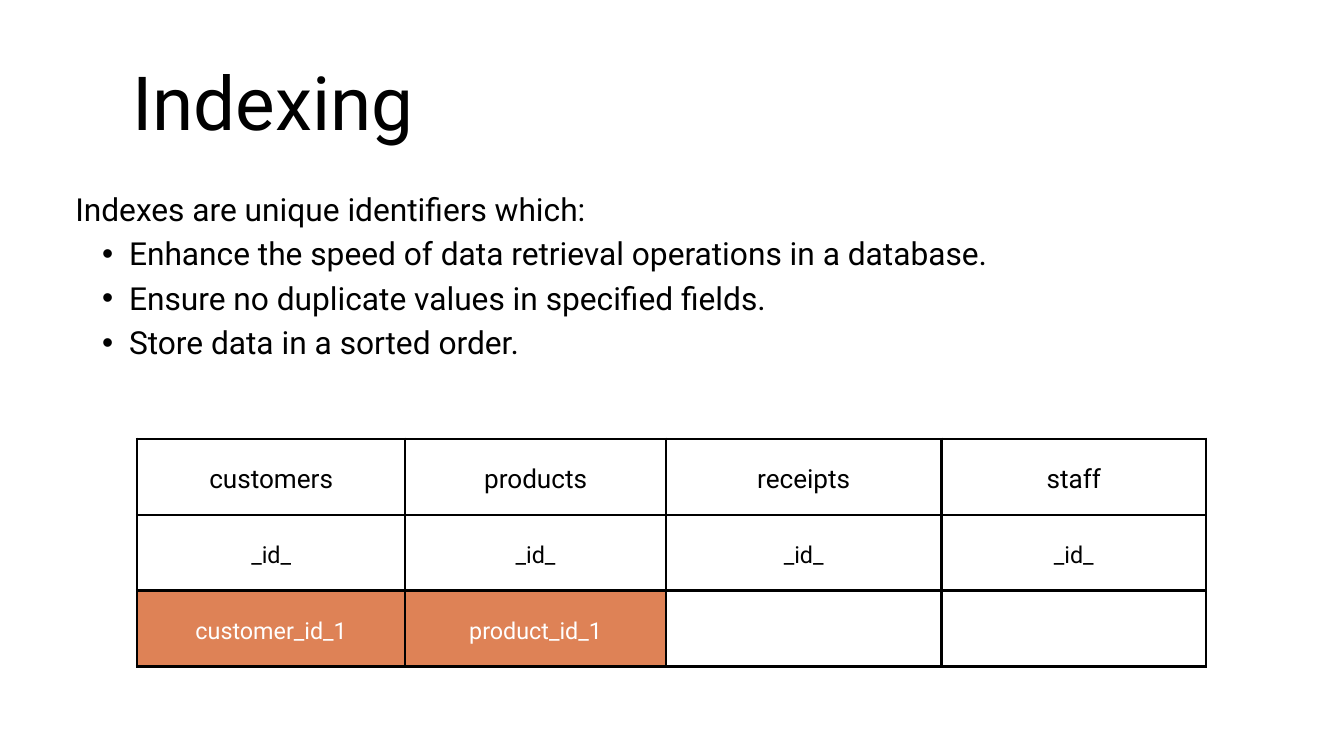
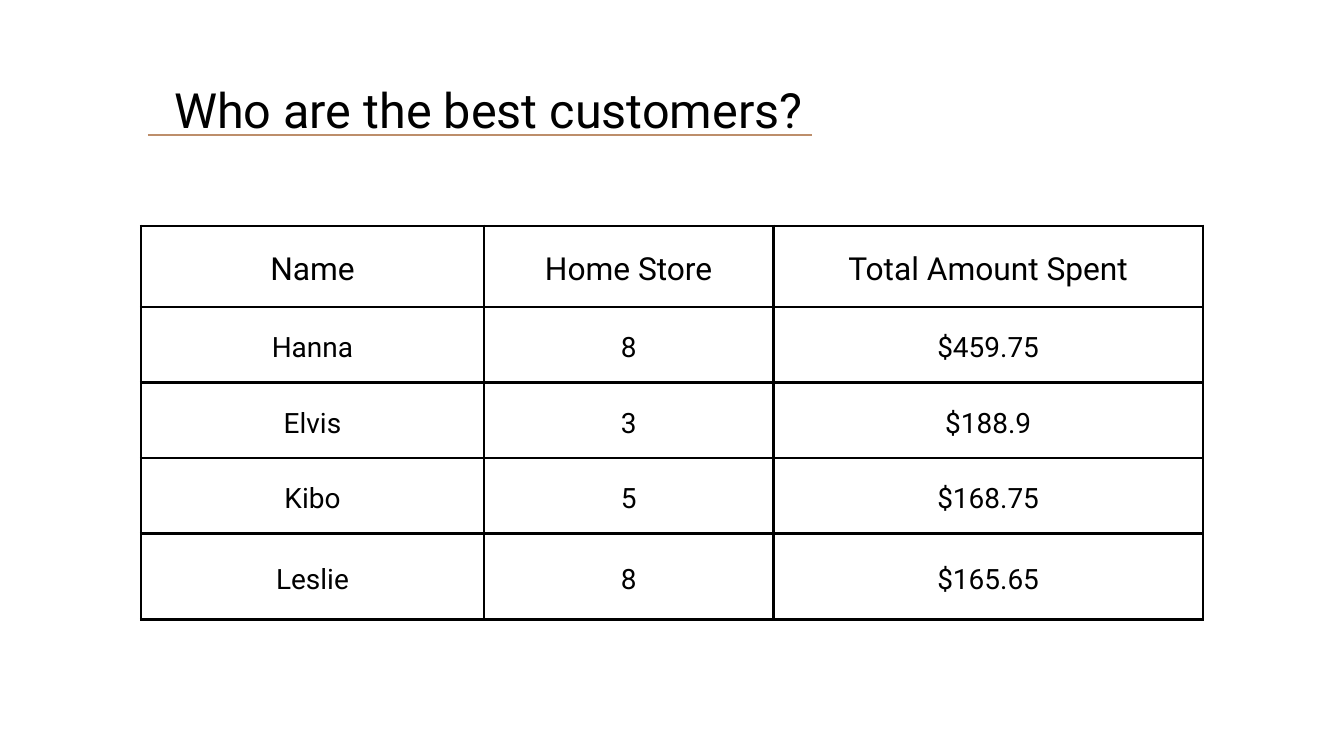
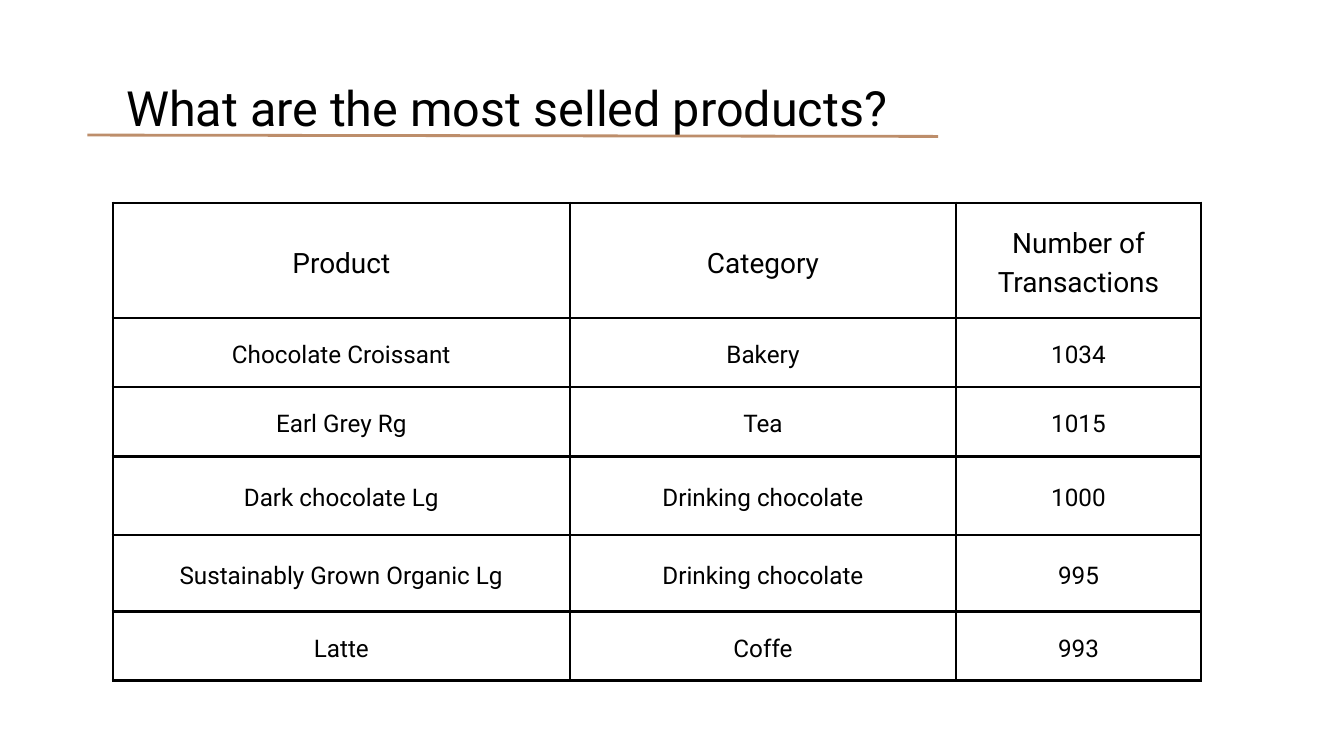
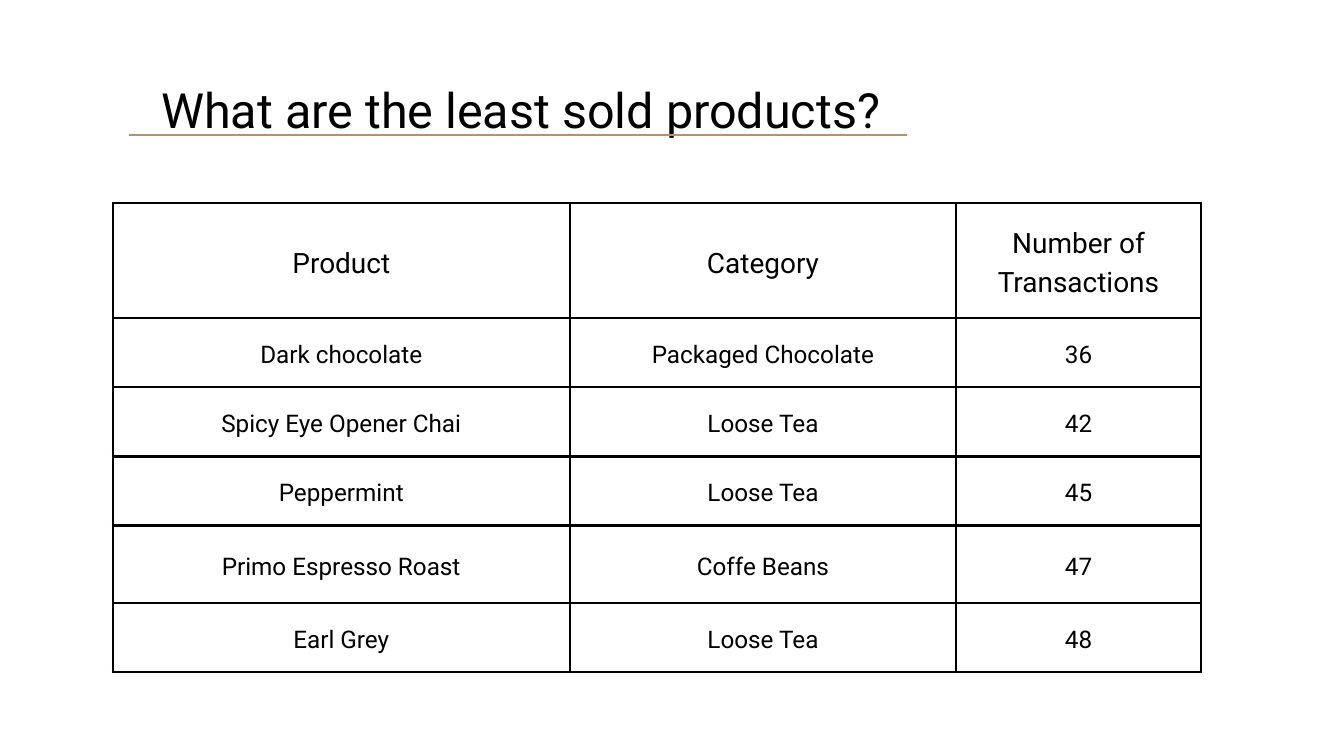
from lxml import etree
from pptx import Presentation
from pptx.dml.color import RGBColor
from pptx.enum.shapes import MSO_CONNECTOR
from pptx.enum.text import MSO_ANCHOR, MSO_AUTO_SIZE, PP_ALIGN
from pptx.oxml import parse_xml
from pptx.oxml.ns import nsdecls, qn
from pptx.util import Inches, Pt

LEFT, CENTER = PP_ALIGN.LEFT, PP_ALIGN.CENTER
TOP, MIDDLE = MSO_ANCHOR.TOP, MSO_ANCHOR.MIDDLE
FIT_SHAPE = MSO_AUTO_SIZE.SHAPE_TO_FIT_TEXT
STRAIGHT = MSO_CONNECTOR.STRAIGHT

FONT = "Roboto"
BLACK, WHITE = "000000", "FFFFFF"
ORANGE, TAN = "DE8256", "BD8E6B"
LINE_WIDTH = Pt(3)
LEADING = 1.4
CELL_MARGIN = 0.21
TITLE_ONLY = 5
BORDER_SIDES = ("lnL", "lnR", "lnT", "lnB")


def grid(*lengths):
    """Turn columns or rows of the 20 by 11.25 grid into slide lengths."""
    return [Inches(length) for length in lengths]


def format_text(text_frame, size, color=BLACK, alignment=CENTER, anchor=TOP, margin=0):
    text_frame.word_wrap = True
    text_frame.vertical_anchor = anchor
    text_frame.margin_left = text_frame.margin_right = Inches(margin)
    text_frame.margin_top = text_frame.margin_bottom = Inches(margin)
    for paragraph in text_frame.paragraphs:
        paragraph.alignment = alignment
        paragraph.line_spacing = Pt(round(size * LEADING, 1))
        paragraph.space_before = Pt(0)
        for run in paragraph.runs:
            run.font.name = FONT
            run.font.size = Pt(size)
            run.font.color.rgb = RGBColor.from_string(color)


PRODUCT_HEADER = ["Product", "Category", "Number of Transactions"]
PRODUCT_COLUMNS = [6.8, 5.75, 3.64]

# Boxes are left, top, width, height; underlines are the two end points.
SLIDES = [
    {
        "title": "Indexing", "title_size": 80, "title_box": (1.47, 0.61, 5.19, 1.5),
        "table_at": (2.04, 6.53), "sizes": (28, 25),
        "columns": [3.99, 3.88, 4.1, 3.94], "rows": [1.13] * 3,
        "cells": [
            ["customers", "products", "receipts", "staff"],
            ["_id_"] * 4,
            ["customer_id_1", "product_id_1", "", ""],
        ],
        "highlighted": ["customer_id_1", "product_id_1"],
    },
    {
        "title": "Who are the best customers?", "title_size": 52,
        "title_box": (1.83, 1.04, 10.88, 0.97), "underline": (2.2, 2.01, 12.09, 2.01),
        "table_at": (2.1, 3.36), "sizes": (34, 30),
        "columns": [5.1, 4.31, 6.39], "rows": [1.21, 1.12, 1.13, 1.12, 1.28],
        "cells": [
            ["Name", "Home Store", "Total Amount Spent"],
            ["Hanna", "8", "$459.75"],
            ["Elvis", "3", "$188.9"],
            ["Kibo", "5", "$168.75"],
            ["Leslie", "8", "$165.65"],
        ],
    },
    {
        "title": "What are the most selled products?", "title_size": 52,
        "title_box": (1.3, 1.02, 12.48, 0.97), "underline": (1.3, 2.01, 13.96, 2.03),
        "table_at": (1.68, 3.02), "sizes": (30, 26),
        "columns": PRODUCT_COLUMNS, "rows": [1.71, 1.03, 1.03, 1.17, 1.14, 1.03],
        "cells": [
            PRODUCT_HEADER,
            ["Chocolate Croissant", "Bakery", "1034"],
            ["Earl Grey Rg", "Tea", "1015"],
            ["Dark chocolate Lg", "Drinking chocolate", "1000"],
            ["Sustainably Grown Organic Lg", "Drinking chocolate", "995"],
            ["Latte", "Coffe", "993"],
        ],
    },
    {
        "title": "What are the least sold products?", "title_size": 52,
        "title_box": (1.17, 1.04, 13.16, 0.97), "underline": (1.92, 2.01, 13.5, 2.01),
        "table_at": (1.68, 3.02), "sizes": (30, 26),
        "columns": PRODUCT_COLUMNS, "rows": [1.71, 1.03, 1.03, 1.03, 1.15, 1.03],
        "cells": [
            PRODUCT_HEADER,
            ["Dark chocolate", "Packaged Chocolate", "36"],
            ["Spicy Eye Opener Chai", "Loose Tea", "42"],
            ["Peppermint", "Loose Tea", "45"],
            ["Primo Espresso Roast", "Coffe Beans", "47"],
            ["Earl Grey", "Loose Tea", "48"],
        ],
    },
]

INDEX_FACTS = [
    "Indexes are unique identifiers which:",
    "Enhance the speed of data retrieval operations in a database.",
    "Ensure no duplicate values in specified fields.",
    "Store data in a sorted order.",
]

presentation = Presentation()
presentation.slide_width, presentation.slide_height = grid(20, 11.25)

for content in SLIDES:
    slide = presentation.slides.add_slide(presentation.slide_layouts[TITLE_ONLY])
    title = slide.shapes.title
    title.left, title.top, title.width, title.height = grid(*content["title_box"])
    title.text_frame.text = content["title"]
    title.text_frame.auto_size = FIT_SHAPE
    format_text(title.text_frame, content["title_size"])

    # Table
    columns, rows = content["columns"], content["rows"]
    table_box = grid(*content["table_at"], sum(columns), sum(rows))
    table = slide.shapes.add_table(len(rows), len(columns), *table_box).table
    table.first_row = table.horz_banding = False
    for column, width in zip(table.columns, grid(*columns)):
        column.width = width
    for row, height in zip(table.rows, grid(*rows)):
        row.height = height
    header_size, body_size = content["sizes"]
    for row_index, texts in enumerate(content["cells"]):
        for column_index, text in enumerate(texts):
            cell = table.cell(row_index, column_index)
            highlighted = text in content.get("highlighted", [])
            cell.text_frame.text = text
            format_text(cell.text_frame, body_size if row_index else header_size,
                        WHITE if highlighted else BLACK)
            cell.vertical_anchor = MIDDLE
            cell.margin_left = cell.margin_right = Inches(CELL_MARGIN)
            cell.margin_top = cell.margin_bottom = Inches(CELL_MARGIN)
            if highlighted:
                cell.fill.solid()
                cell.fill.fore_color.rgb = RGBColor.from_string(ORANGE)
            else:
                cell.fill.background()
            properties = cell._tc.get_or_add_tcPr()
            for position, side in enumerate(BORDER_SIDES):
                properties.insert(position, parse_xml(
                    f'<a:{side} {nsdecls("a")} w="{LINE_WIDTH}"><a:solidFill>'
                    f'<a:srgbClr val="{BLACK}"/></a:solidFill></a:{side}>'))

    # Title underline
    if "underline" in content:
        underline = slide.shapes.add_connector(STRAIGHT, *grid(*content["underline"]))
        underline.line.color.rgb = RGBColor.from_string(TAN)
        underline.line.width = LINE_WIDTH
        etree.SubElement(underline._element.spPr, qn("a:effectLst"))

# Bulleted facts on the indexing slide
facts = slide = presentation.slides[0].shapes.add_textbox(*grid(1.12, 2.73, 15.52, 2.6))
facts.text_frame.text = "\n".join(INDEX_FACTS)
facts.text_frame.auto_size = FIT_SHAPE
format_text(facts.text_frame, 34, alignment=LEFT)
for paragraph in facts.text_frame.paragraphs[1:]:
    paragraph.level = 1
    properties = paragraph._p.get_or_add_pPr()
    properties.set("marL", str(Inches(0.8)))
    properties.set("indent", str(Inches(-0.4)))
    etree.SubElement(properties, qn("a:buFont"), typeface="Arial")
    etree.SubElement(properties, qn("a:buChar"), char="•")

presentation.save("out.pptx")
